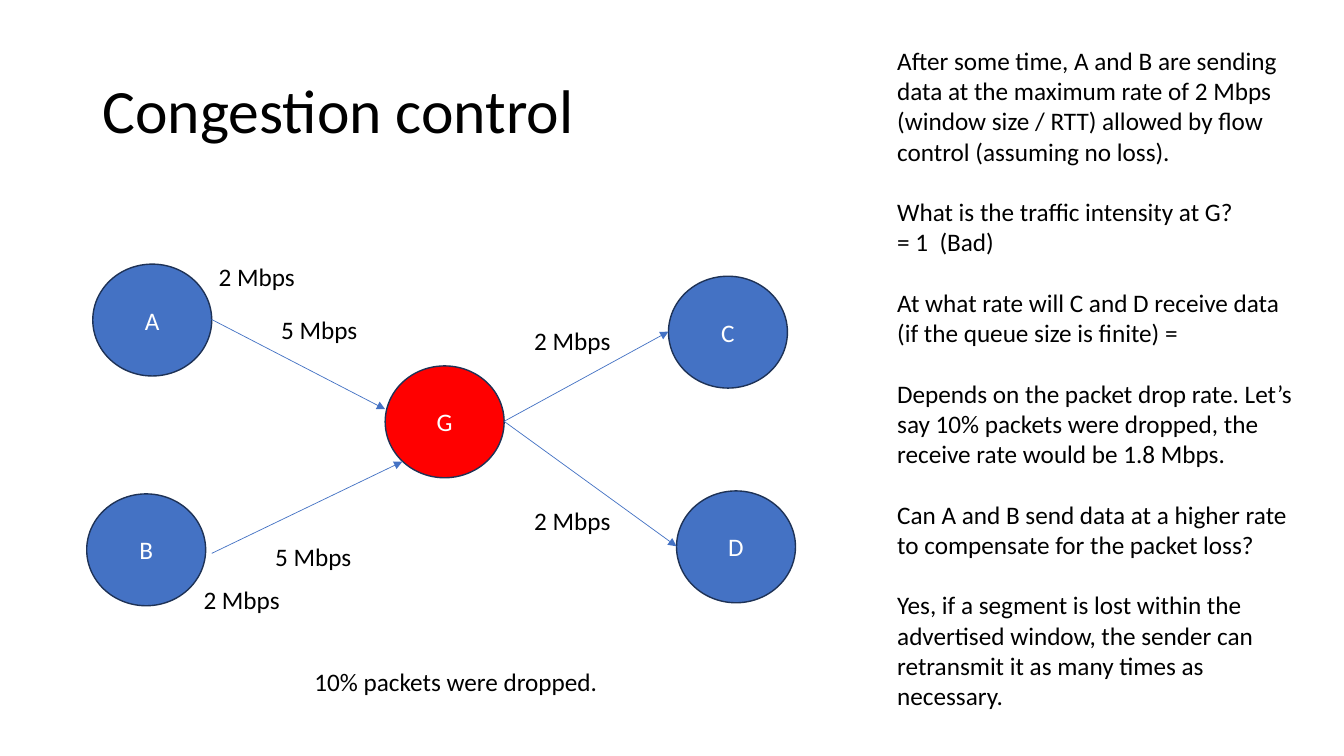
from pptx import Presentation
from pptx.dml.color import RGBColor
from pptx.enum.shapes import MSO_CONNECTOR, MSO_SHAPE
from pptx.enum.text import MSO_ANCHOR, MSO_AUTO_SIZE, PP_ALIGN
from pptx.oxml.ns import qn
from pptx.util import Emu, Pt
from lxml.etree import SubElement

PX = 9144  # 100 px to the inch
FONT = "Calibri"
COLORS = {
    "text": "000000",
    "node": "4472C4",
    "congested": "FF0000",
    "outline": "1E3256",
    "label": "FFFFFF",
}
NODE_SIZE = (118, 111)
NODES = [
    ("A", 92, 262, "node"),
    ("B", 86, 490, "node"),
    ("G", 382, 363, "congested"),
    ("C", 663, 274, "node"),
    ("D", 671, 487, "node"),
]
LINKS = [
    (210, 317, 382, 406),
    (210, 549, 399, 458),
    (500, 418, 663, 329),
    (500, 418, 671, 542),
]
RATES = [
    ("2 Mbps", 520, 318),
    ("2 Mbps", 520, 496),
    ("2 Mbps", 207, 254),
    ("2 Mbps", 192, 575),
    ("5 Mbps", 269, 307),
    ("5 Mbps", 263, 532),
]
# Each group of lines is set apart from the one before
DISCUSSION = [
    ["After some time, A and B are sending data at the maximum rate of 2 Mbps "
     "(window size / RTT) allowed by flow control (assuming no loss)."],
    ["What is the traffic intensity at G?", "= 1  (Bad)"],
    ["At what rate will C and D receive data (if the queue size is finite) ="],
    ["Depends on the packet drop rate. Let’s say 10% packets were dropped, "
     "the receive rate would be 1.8 Mbps."],
    ["Can A and B send data at a higher rate to compensate for the packet loss?"],
    ["Yes, if a segment is lost within the advertised window, the sender can "
     "retransmit it as many times as necessary."],
]


def px(*lengths):
    return [Emu(length * PX) for length in lengths]


def color(name):
    return RGBColor.from_string(COLORS[name])


def format_runs(paragraph, size, color_name):
    for run in paragraph.runs:
        run.font.name = FONT
        run.font.size = Pt(size)
        run.font.color.rgb = color(color_name)


def add_text(slide, groups, box, size=18):
    frame = slide.shapes.add_textbox(*px(*box)).text_frame
    frame.word_wrap = True
    frame.auto_size = MSO_AUTO_SIZE.NONE
    frame.text = "\n".join(line for group in groups for line in group)
    group_starts = [i == 0 for group in groups for i in range(len(group))]
    for index, paragraph in enumerate(frame.paragraphs):
        if index and group_starts[index]:
            paragraph.space_before = Pt(21.6)
        format_runs(paragraph, size, "text")
    return frame


def add_node(slide, name, left, top, fill):
    node = slide.shapes.add_shape(MSO_SHAPE.OVAL, *px(left, top, *NODE_SIZE))
    node.shadow.inherit = False
    node.fill.solid()
    node.fill.fore_color.rgb = color(fill)
    node.line.color.rgb = color("outline")
    node.line.width = Pt(1)
    frame = node.text_frame
    frame.text = name
    frame.vertical_anchor = MSO_ANCHOR.MIDDLE
    frame.paragraphs[0].alignment = PP_ALIGN.CENTER
    format_runs(frame.paragraphs[0], 18, "label")


def add_link(slide, ends):
    link = slide.shapes.add_connector(MSO_CONNECTOR.STRAIGHT, *px(*ends))
    link.line.color.rgb = color("node")
    link.line.width = Pt(0.5)
    SubElement(link.line._get_or_add_ln(), qn("a:tailEnd"), type="triangle")
    SubElement(link._element.spPr, qn("a:effectLst"))


def main():
    deck = Presentation()
    deck.slide_width, deck.slide_height = px(1333, 750)
    slide = deck.slides.add_slide(deck.slide_layouts[6])

    # Title
    title = add_text(slide, [["Congestion control"]], (92, 40, 1150, 145), 44)
    title.vertical_anchor = MSO_ANCHOR.MIDDLE
    title.paragraphs[0].line_spacing = 0.9

    # Network
    for node in NODES:
        add_node(slide, *node)
    for ends in LINKS:
        add_link(slide, ends)
    for rate, left, top in RATES:
        add_text(slide, [[rate]], (left, top, 132, 40))
    add_text(slide, [["10% packets were dropped."]], (302, 656, 377, 40))

    # Questions and answers
    add_text(slide, DISCUSSION, (880, 40, 421, 677))

    deck.save("out.pptx")


if __name__ == "__main__":
    main()
